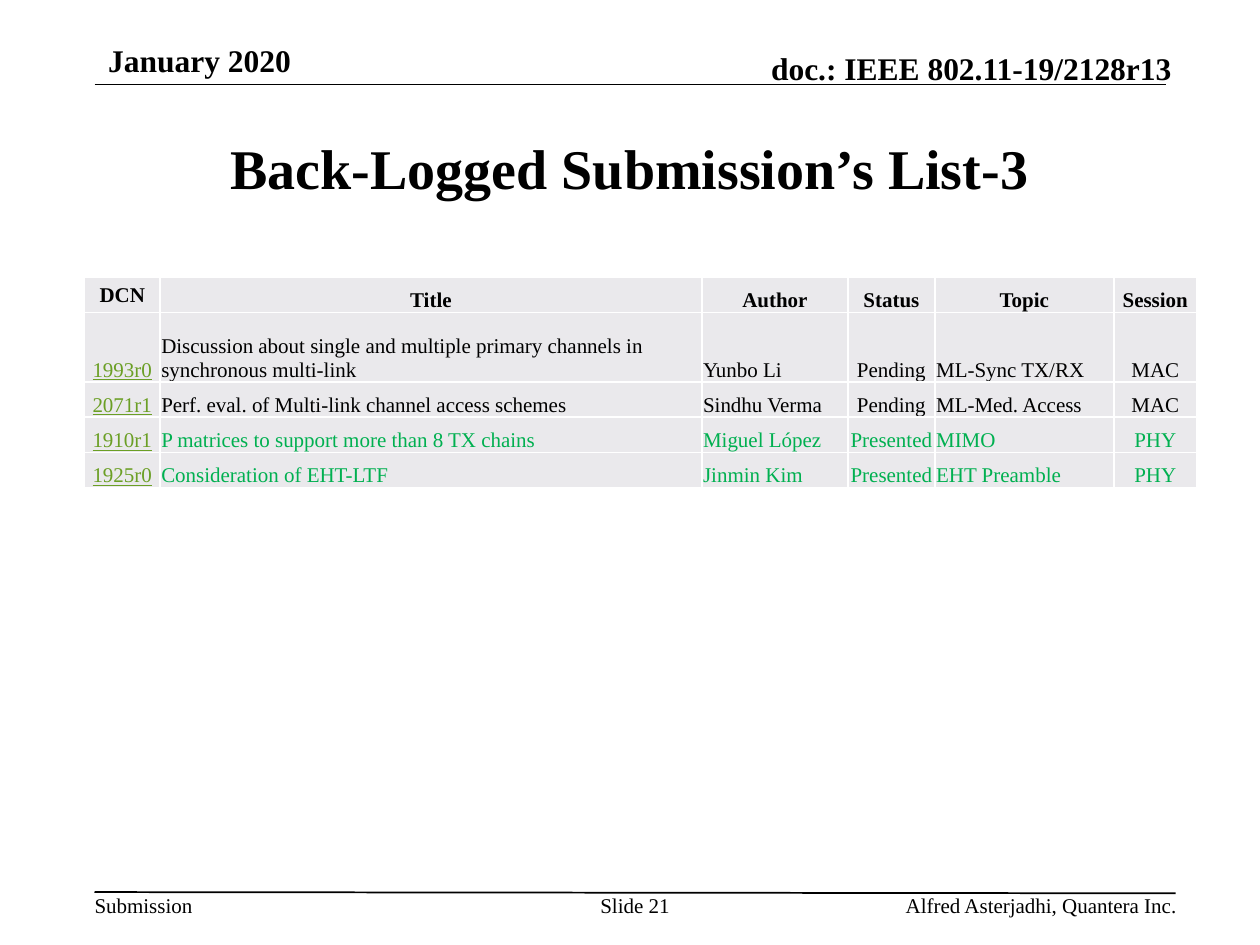
"""Build the back-logged submissions slide on a grid of 100 columns by 75 rows."""
import pptx
import pptx.dml.color
import pptx.enum.shapes
import pptx.enum.text
import pptx.oxml
import pptx.oxml.ns
import pptx.util

HUES = {"ink": "000000", "link": "6B9F25", "done": "00B050",
        "cell": "EAE9EC", "edge": "FFFFFF"}
ALIGN = pptx.enum.text.PP_ALIGN
ANCHOR = pptx.enum.text.MSO_ANCHOR
HEADS = ["DCN", "Title", "Author", "Status", "Topic", "Session"]
ROWS = [
    ["1993r0", "Discussion about single and multiple primary channels in synchronous multi-link",
     "Yunbo Li", "Pending", "ML-Sync TX/RX", "MAC"],
    ["2071r1", "Perf. eval. of Multi-link channel access schemes",
     "Sindhu Verma", "Pending", "ML-Med. Access", "MAC"],
    ["1910r1", "P matrices to support more than 8 TX chains",
     "Miguel López", "Presented", "MIMO", "PHY"],
    ["1925r0", "Consideration of EHT-LTF",
     "Jinmin Kim", "Presented", "EHT Preamble", "PHY"],
]
WIDTHS = [6, 43, 11.6, 6.9, 14.2, 6.6]
HEIGHTS = [2.8, 5.5, 2.8, 2.8, 2.8]
LEFT = {"Title", "Author", "Topic"}


def tint(name):
    """Return the named colour."""
    return pptx.dml.color.RGBColor.from_string(HUES[name])


class Deck:
    """Hold the style, the grid and the current slide."""

    def __init__(self, font="Times New Roman"):
        """Open a blank 4:3 slide."""
        self.font = font
        self.show = pptx.Presentation()
        self.show.slide_width = pptx.util.Inches(10)
        self.show.slide_height = pptx.util.Inches(7.5)
        self.unit = self.show.slide_width / 100
        self.slide = self.show.slides.add_slide(self.show.slide_layouts[6])

    def grid(self, *marks):
        """Turn grid steps into lengths."""
        return [pptx.util.Emu(round(mark * self.unit)) for mark in marks]

    def run(self, para, text, size, bold=False, hue="ink", under=False):
        """Add one styled run."""
        run = para.add_run()
        run.text = text
        font = run.font
        font.name, font.size = self.font, pptx.util.Pt(size)
        font.bold, font.underline = bold, under
        font.color.rgb = tint(hue)

    def text(self, text, spot, size=12, bold=False, align=ALIGN.LEFT,
             anchor=ANCHOR.TOP, pad=(0, 0), wrap=True):
        """Add a one-line text box."""
        frame = self.slide.shapes.add_textbox(*self.grid(*spot)).text_frame
        frame.word_wrap, frame.vertical_anchor = wrap, anchor
        side, edge = self.grid(*pad)
        frame.margin_left = frame.margin_right = side
        frame.margin_top = frame.margin_bottom = edge
        para = frame.paragraphs[0]
        para.alignment = align
        self.run(para, text, size, bold)

    def line(self, *ends):
        """Add a thin rule."""
        rule = self.slide.shapes.add_connector(
            pptx.enum.shapes.MSO_CONNECTOR.STRAIGHT, *self.grid(*ends))
        rule.line.width = pptx.util.Pt(1)
        rule.line.color.rgb = tint("ink")
        rule._element.spPr.append(pptx.oxml.parse_xml(
            f'<a:effectLst {pptx.oxml.ns.nsdecls("a")}/>'))

    def cell(self, cell, text, align, anchor, **style):
        """Fill, frame and write one table cell."""
        props = cell._tc.get_or_add_tcPr()
        for side in "LRTB":
            props.append(pptx.oxml.parse_xml(
                f'<a:ln{side} {pptx.oxml.ns.nsdecls("a")} w="12700"><a:solidFill>'
                f'<a:srgbClr val="{HUES["edge"]}"/></a:solidFill></a:ln{side}>'))
        cell.fill.solid()
        cell.fill.fore_color.rgb = tint("cell")
        cell.margin_left, cell.margin_right, cell.margin_top, cell.margin_bottom = \
            self.grid(0.1, 0.1, 0.1, 0)
        cell.vertical_anchor = anchor
        para = cell.text_frame.paragraphs[0]
        para.alignment = align
        self.run(para, text, 12, **style)

    def table(self, left, top):
        """Add the table of submissions."""
        spot = self.grid(left, top, sum(WIDTHS), sum(HEIGHTS))
        table = self.slide.shapes.add_table(len(HEIGHTS), len(WIDTHS), *spot).table
        table.first_row = table.horz_banding = False
        for col, width in zip(table.columns, self.grid(*WIDTHS)):
            col.width = width
        for row, height in zip(table.rows, self.grid(*HEIGHTS)):
            row.height = height
        for col, head in enumerate(HEADS):
            anchor = ANCHOR.MIDDLE if col == 0 else ANCHOR.BOTTOM
            self.cell(table.cell(0, col), head, ALIGN.CENTER, anchor, bold=True)
        for row, items in enumerate(ROWS, 1):
            tone = "done" if "Presented" in items else "ink"
            for col, (head, item) in enumerate(zip(HEADS, items)):
                align = ALIGN.LEFT if head in LEFT else ALIGN.CENTER
                self.cell(table.cell(row, col), item, align, ANCHOR.BOTTOM,
                          hue=tone if col else "link", under=col == 0)


def main():
    """Lay out the slide and save it."""
    deck = Deck()
    deck.line(7.5, 6.7, 92.5, 6.7)
    deck.text("Submission", (7.5, 70.8, 7.8, 2), wrap=False)
    deck.line(7.5, 70.8, 93.3, 70.9)
    deck.text("doc.: IEEE 802.11-19/2128r13", (54.7, 3.9, 38.3, 3), 18, True,
              ALIGN.RIGHT, ANCHOR.BOTTOM)
    deck.text("Back-Logged Submission’s List-3", (7.5, 7.5, 85, 11.6), 32, True,
              ALIGN.CENTER, ANCHOR.MIDDLE, (1, 0.5))
    deck.text("Alfred Asterjadhi, Quantera Inc.", (58.6, 70.8, 34.8, 2), align=ALIGN.RIGHT)
    deck.text("Slide 21", (47.5, 70.8, 5.8, 4), align=ALIGN.CENTER)
    deck.text("January 2020", (7.6, 2.8, 25.2, 3), 18, True, pad=(1, 0.5))
    deck.table(6.7, 22)
    deck.show.save("out.pptx")


if __name__ == "__main__":
    main()
